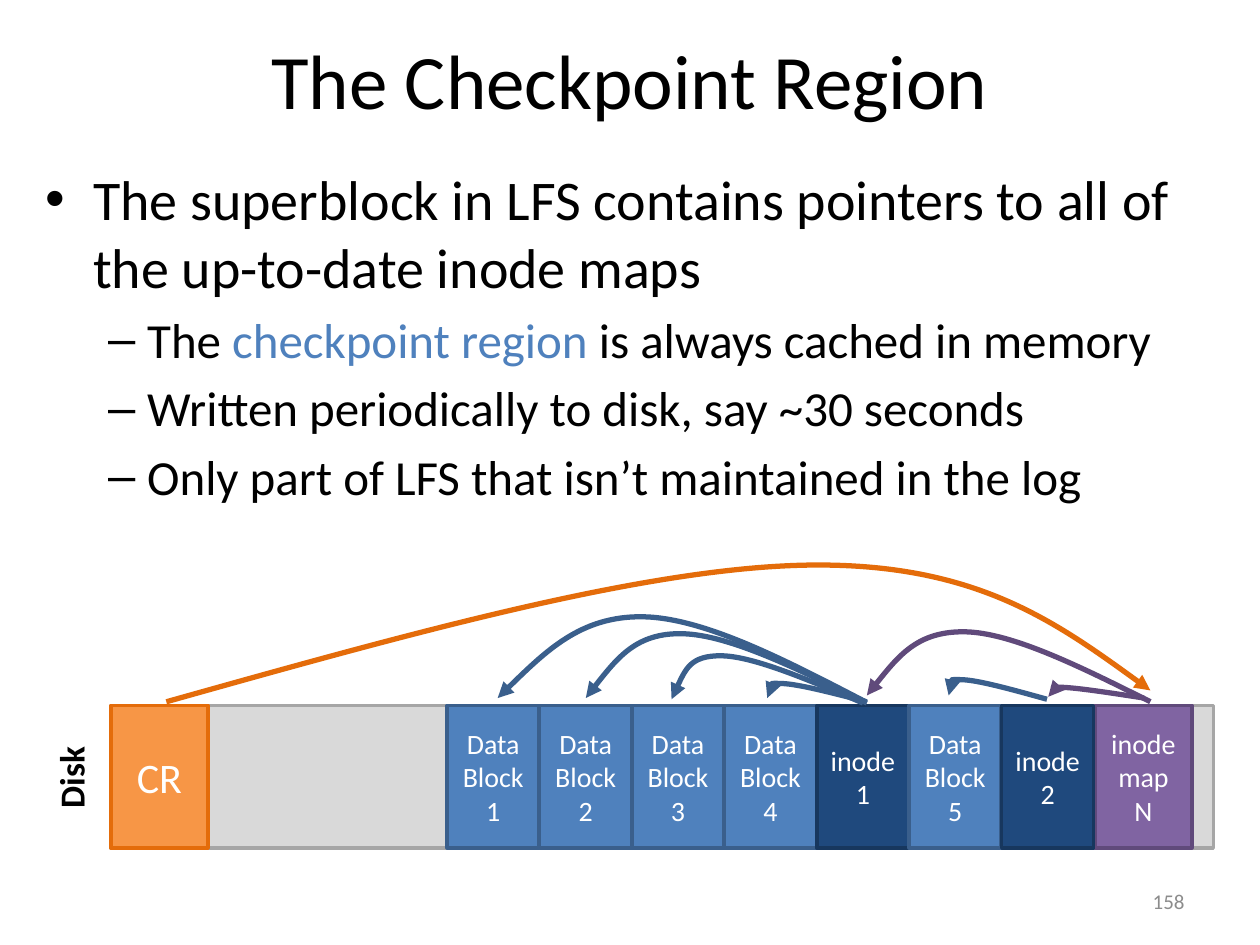
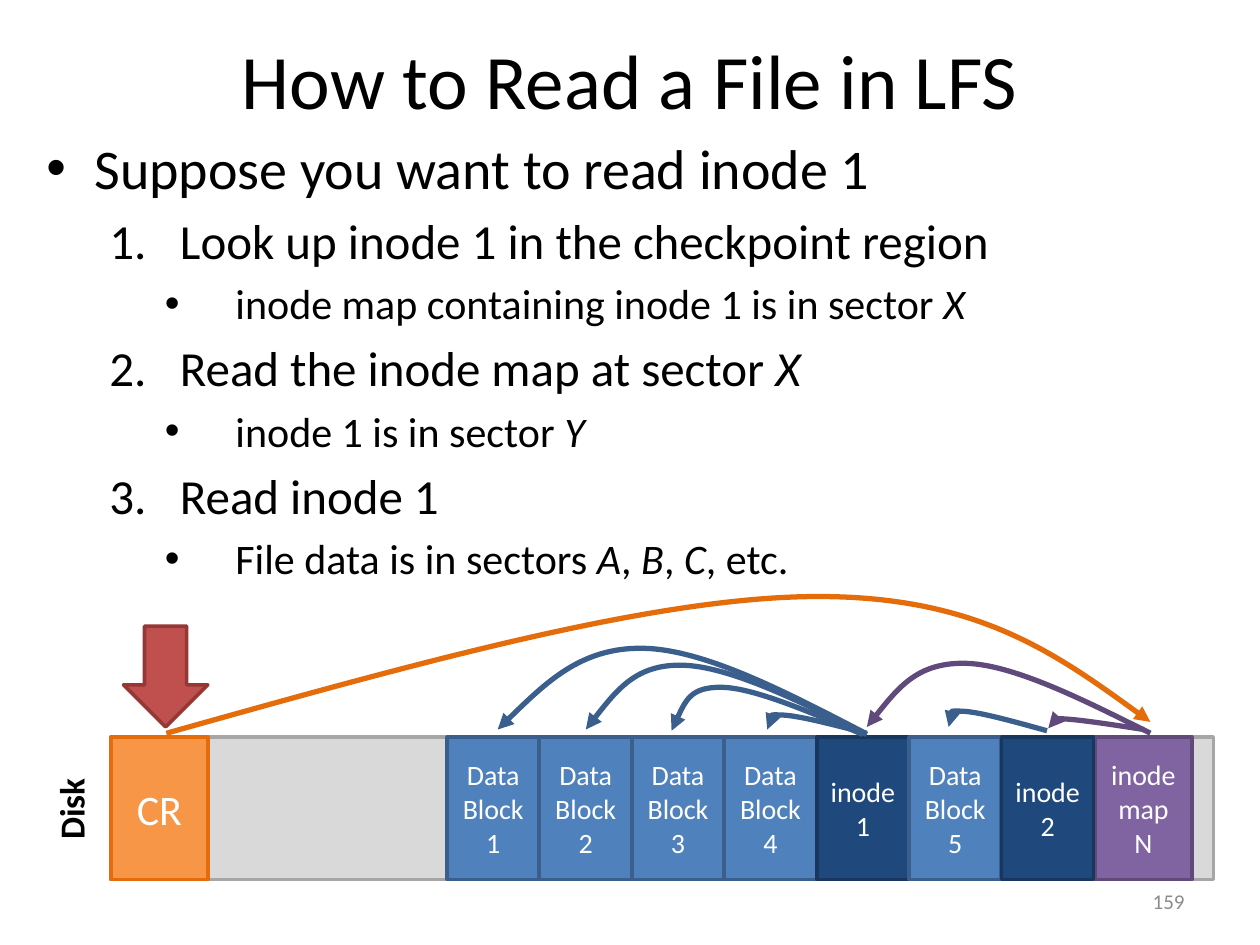
from dataclasses import dataclass, field
from typing import Any

from lxml import etree
from pptx import Presentation
from pptx.dml.color import RGBColor
from pptx.enum.shapes import MSO_SHAPE
from pptx.enum.text import MSO_ANCHOR, PP_ALIGN
from pptx.oxml.ns import qn
from pptx.util import Inches, Pt

RECT, DOWN = MSO_SHAPE.RECTANGLE, MSO_SHAPE.DOWN_ARROW
TOP, MIDDLE = MSO_ANCHOR.TOP, MSO_ANCHOR.MIDDLE
LEFT, MID, RIGHT = PP_ALIGN.LEFT, PP_ALIGN.CENTER, PP_ALIGN.RIGHT
TITLE_ONLY = 5

Point = tuple[float, float]
Box = tuple[float, float, float, float]


# Shared look: each paint is a fill and an outline
@dataclass(frozen=True)
class Theme:
    face: str = "Calibri"
    ink: str = "000000"
    white: str = "FFFFFF"
    faint: str = "8C8C8C"
    accent: str = "4F81BD"
    disk: tuple[str, str] = ("D9D9D9", "A6A6A6")
    data: tuple[str, str] = ("4F81BD", "3A5F8C")
    inode: tuple[str, str] = ("1F497D", "17375E")
    map: tuple[str, str] = ("8064A2", "604A7B")
    check: tuple[str, str] = ("F79646", "E46C0A")
    alert: tuple[str, str] = ("C0504D", "953735")
    title: int = 44
    levels: tuple[int, ...] = (32, 28, 24)
    region: int = 24
    label: int = 20
    cell: int = 16
    page: int = 12
    edge: int = 2
    curve: int = 3


T = Theme()


@dataclass(frozen=True)
class Cell:
    left: float
    width: float
    text: str
    paint: tuple[str, str]
    size: int = T.cell


@dataclass(frozen=True)
class Arc:
    """A pointer; each point is x and height above the disk."""
    start: Point
    rise: Point
    fall: Point
    end: Point
    color: str


@dataclass(frozen=True)
class Item:
    """A list line; text between asterisks gets the slide's mark format."""
    text: str
    level: int
    bullet: str
    margin: float
    hang: float


@dataclass(frozen=True)
class Page:
    title: str
    number: str
    body: Box
    items: list[Item]
    mark: dict[str, Any]
    disk: float
    arrow: bool = field(default=False)


# Disk layout
HIGH = 1.13
FIRST, STEP = 3.55, (7.95 - 3.55) / 6
ROW = ["Data Block 1", "Data Block 2", "Data Block 3", "Data Block 4",
       "inode\n1", "Data Block 5", "inode\n2"]
CELLS = [Cell(8.69, 0.77, "inode\nmap\nN", T.map)] + [
    Cell(FIRST + i * STEP, 0.73, text, T.data if text.startswith("Data") else T.inode)
    for i, text in enumerate(ROW)
] + [Cell(0.88, 0.77, "CR", T.check, T.region)]

BLUE, PLUM = T.data[1], T.map[1]
ARCS = [
    Arc((6.87, 0.03), (5.58, 0.7), (4.61, 0.71), (3.95, 0.06), BLUE),
    Arc((6.88, 0.02), (5.79, 0.56), (5.05, 0.58), (4.65, 0.06), BLUE),
    Arc((6.85, 0.02), (5.98, 0.39), (5.48, 0.4), (5.33, 0.05), BLUE),
    Arc((6.88, 0.03), (6.34, 0.17), (6.08, 0.18), (6.09, 0.06), BLUE),
    Arc((8.31, 0.05), (7.77, 0.2), (7.51, 0.21), (7.53, 0.08), BLUE),
    Arc((9.08, 0.06), (8.56, 0.14), (8.3, 0.15), (8.32, 0.07), PLUM),
    Arc((9.13, 0.03), (8.03, 0.58), (7.28, 0.59), (6.88, 0.08), PLUM),
    Arc((1.32, 0.03), (5.13, 1.1), (7.74, 1.13), (9.13, 0.12), T.check[1]),
]


# Text lists
def point(text: str) -> Item:
    return Item(text, 0, "•", 0.38, 0.38)


def dash(text: str) -> Item:
    return Item(text, 1, "–", 0.81, 0.31)


def step(text: str) -> Item:
    return Item(text, 1, "1.", 1.06, 0.56)


def note(text: str) -> Item:
    return Item(text, 2, "•", 1.5, 0.56)


PAGES = [
    Page("The Checkpoint Region", "158", (0.26, 1.26, 9.49, 3.04), [
        point("The superblock in LFS contains pointers to all of the up-to-date inode maps"),
        dash("The *checkpoint region *is always cached in memory"),
        dash("Written periodically to disk, say ~30 seconds"),
        dash("Only part of LFS that isn’t maintained in the log"),
    ], {"color": T.accent}, 5.6),
    Page("How to Read a File in LFS", "159", (0.27, 1.01, 9.49, 4.01), [
        point("Suppose you want to read inode 1"),
        step("Look up inode 1 in the checkpoint region"),
        note("inode map containing inode 1 is in sector *X*"),
        step("Read the inode map at sector *X*"),
        note("inode 1 is in sector *Y*"),
        step("Read inode 1"),
        note("File data is in sectors *A*, *B*, *C*, etc."),
    ], {"italic": True}, 5.85, arrow=True),
]


# Drawing helpers
def style(font: Any, size: int, **look: Any) -> None:
    values = {"name": T.face, "size": Pt(size), "color": T.ink} | look
    font.color.rgb = RGBColor.from_string(values.pop("color"))
    for name, value in values.items():
        setattr(font, name, value)


def write(frame: Any, text: str, size: int, align: Any = MID,
          anchor: Any = MIDDLE, **look: Any) -> None:
    frame.text = text
    frame.word_wrap = True
    frame.vertical_anchor = anchor
    for para in frame.paragraphs:
        para.alignment = align
        style(para.runs[0].font, size, **look)


def label(slide: Any, box: Box) -> Any:
    return slide.shapes.add_textbox(*map(Inches, box))


def block(slide: Any, kind: Any, box: Box, paint: tuple[str, str]) -> Any:
    shape = slide.shapes.add_shape(kind, *map(Inches, box))
    shape.shadow.inherit = False
    shape.fill.solid()
    shape.fill.fore_color.rgb = RGBColor.from_string(paint[0])
    shape.line.color.rgb = RGBColor.from_string(paint[1])
    shape.line.width = Pt(T.edge)
    return shape


def half(a: Point, b: Point) -> Point:
    return (a[0] + b[0]) / 2, (a[1] + b[1]) / 2


def draw_arc(slide: Any, arc: Arc, top: float) -> None:
    spots = [arc.start, half(arc.start, arc.rise), arc.rise, half(arc.rise, arc.fall),
             arc.fall, half(arc.fall, arc.end), arc.end]
    spots = [(Inches(x), Inches(top - y)) for x, y in spots]
    pen = slide.shapes.build_freeform(*spots[0])
    pen.add_line_segments(spots[1:], close=False)
    shape = pen.convert_to_shape()
    shape.shadow.inherit = False
    shape.fill.background()
    shape.line.color.rgb = RGBColor.from_string(arc.color)
    shape.line.width = Pt(T.curve)
    # Every three segments become one Bézier curve
    props = shape._element.spPr
    lines = list(props.iter(qn("a:lnTo")))
    for i in range(0, len(lines), 3):
        curve = etree.SubElement(lines[i].getparent(), qn("a:cubicBezTo"))
        for line in lines[i:i + 3]:
            curve.append(line[0])
            line.getparent().remove(line)
    etree.SubElement(props.find(qn("a:ln")), qn("a:tailEnd"), type="triangle")


def fill_list(slide: Any, page: Page) -> None:
    frame = label(slide, page.body).text_frame
    frame.word_wrap = True
    for i, item in enumerate(page.items):
        para = frame.add_paragraph() if i else frame.paragraphs[0]
        para.level = item.level
        para.alignment = LEFT
        for k, part in enumerate(item.text.split("*")):
            if part:
                run = para.add_run()
                run.text = part
                style(run.font, T.levels[item.level], **(page.mark if k % 2 else {}))
        # Indent, relative spacing and bullet
        props = para._p.get_or_add_pPr()
        props.set("marL", str(Inches(item.margin)))
        props.set("indent", str(-Inches(item.hang)))
        space = etree.SubElement(props, qn("a:spcBef"))
        etree.SubElement(space, qn("a:spcPct"), val="20000")
        etree.SubElement(props, qn("a:buFont"),
                         typeface=T.face if item.bullet == "1." else "Arial")
        if item.bullet == "1.":
            etree.SubElement(props, qn("a:buAutoNum"), type="arabicPeriod")
        else:
            etree.SubElement(props, qn("a:buChar"), char=item.bullet)


def draw_disk(slide: Any, top: float) -> None:
    block(slide, RECT, (0.88, top, 8.75, HIGH), T.disk)
    name = label(slide, (-0.15, top + 0.35, 1.43, 0.44))
    name.rotation = 270
    write(name.text_frame, "Disk", T.label, anchor=TOP, bold=True)
    for cell in CELLS:
        shape = block(slide, RECT, (cell.left, top, cell.width, HIGH), cell.paint)
        write(shape.text_frame, cell.text, cell.size, color=T.white)
    for arc in ARCS:
        draw_arc(slide, arc, top)


def draw_page(deck: Any, page: Page) -> None:
    slide = deck.slides.add_slide(deck.slide_layouts[TITLE_ONLY])
    title = slide.shapes.title
    spot = {"left": 0.5, "top": 0, "width": 9, "height": 1.25}
    for name, value in spot.items():
        setattr(title, name, Inches(value))
    write(title.text_frame, page.title, T.title)
    fill_list(slide, page)
    number = label(slide, (7.17, 6.95, 2.33, 0.4))
    write(number.text_frame, page.number, T.page, RIGHT, color=T.faint)
    draw_disk(slide, page.disk)
    if page.arrow:
        block(slide, DOWN, (0.98, page.disk - 0.88, 0.67, 0.8), T.alert)


def main() -> None:
    deck = Presentation()
    deck.slide_width, deck.slide_height = Inches(10), Inches(7.5)
    for page in PAGES:
        draw_page(deck, page)
    deck.save("out.pptx")


if __name__ == "__main__":
    main()
